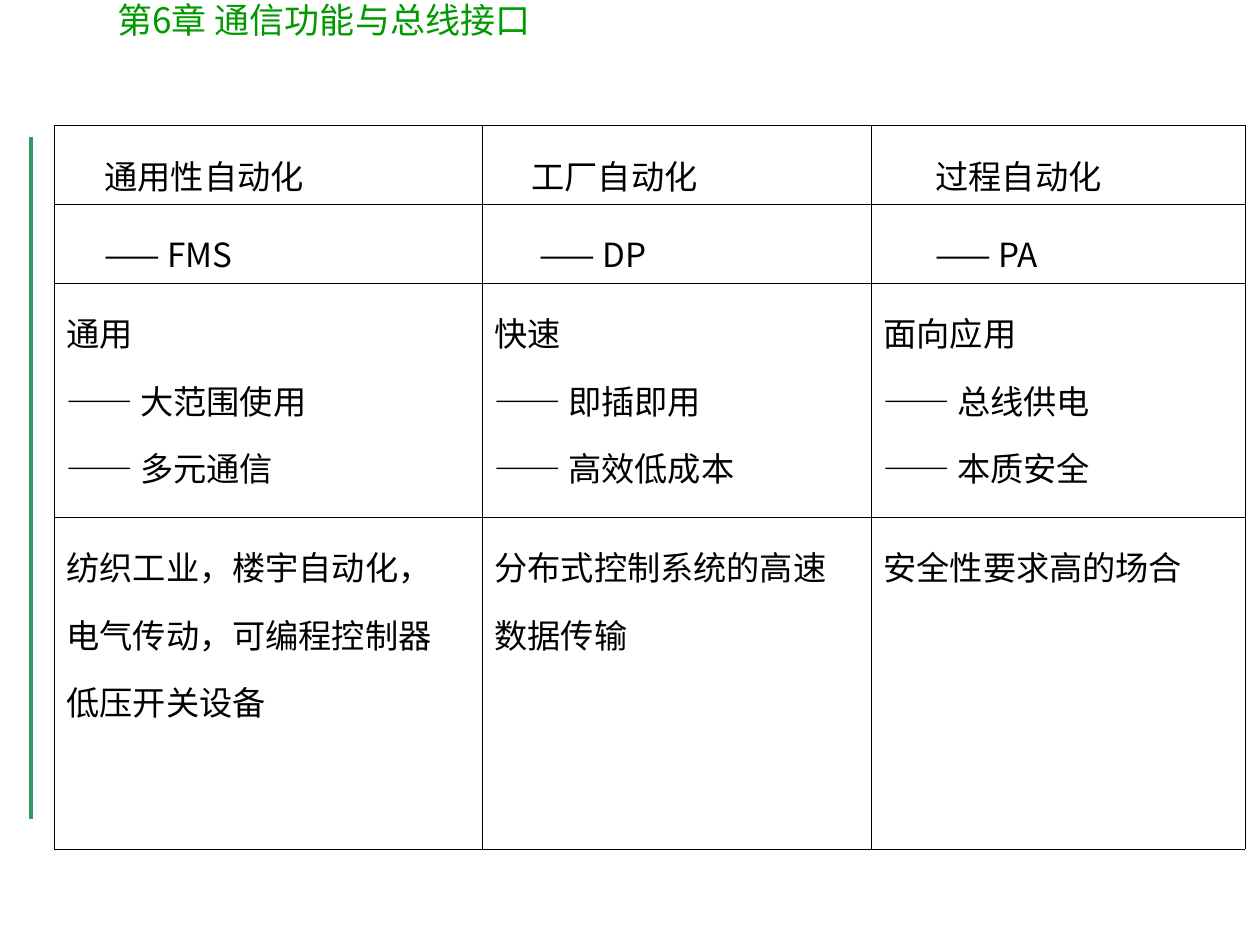
from lxml.etree import SubElement
from pptx import Presentation
from pptx.dml.color import RGBColor
from pptx.enum.shapes import MSO_CONNECTOR
from pptx.oxml import parse_xml
from pptx.oxml.ns import nsdecls, qn
from pptx.util import Pt

# Content: each cell is a list of paragraphs
TITLE = "第6章 通信功能与总线接口"
ROWS = [
    [["通用性自动化"], ["工厂自动化"], ["过程自动化"]],
    [["—— FMS"], ["—— DP"], ["—— PA"]],
    [["通用", "—— 大范围使用", "—— 多元通信"],
     ["快速", "—— 即插即用", "—— 高效低成本"],
     ["面向应用", "—— 总线供电", "—— 本质安全"]],
    [["纺织工业，楼宇自动化，", "电气传动，可编程控制器", "低压开关设备"],
     ["分布式控制系统的高速", "数据传输"],
     ["安全性要求高的场合"]],
]

# Layout in px, 126 to the inch
PX = 914400 // 126
SLIDE_SIZE = (1260, 945)
TITLE_BOX = (105, -8, 724, 56)
RULE_X, RULE_TOP, RULE_BOTTOM = 31, 137, 819
TABLE_LEFT, TABLE_TOP = 54, 125
COLUMN_WIDTHS = [428, 389, 374]
ROW_HEIGHTS = [79, 79, 234, 332]
HEADING_INDENTS = [[38, 37, 52], [38, 45, 52]]  # the two heading rows

FONT = "Noto Sans CJK SC"
BLACK = RGBColor(0x00, 0x00, 0x00)
TITLE_GREEN = RGBColor(0x00, 0x99, 0x00)
RULE_GREEN = RGBColor(0x33, 0x99, 0x66)


def px(*lengths):
    return [length * PX for length in lengths]


def format_runs(paragraph, size, color):
    for run in paragraph.runs:
        run.font.size = Pt(size)
        run.font.color.rgb = color
        run.font.name = FONT
        SubElement(run.font._element, qn("a:ea")).set("typeface", FONT)


def set_borders(cell):
    properties = cell._tc.get_or_add_tcPr()
    for position, side in enumerate(("lnL", "lnR", "lnT", "lnB")):
        border = parse_xml(
            f'<a:{side} {nsdecls("a")} w="{Pt(0.45)}"><a:solidFill>'
            f'<a:srgbClr val="{BLACK}"/></a:solidFill></a:{side}>')
        properties.insert(position, border)


def fill_cell(cell, lines, indent):
    cell.fill.background()
    set_borders(cell)
    cell.text_frame.text = "\n".join(lines)
    for paragraph in cell.text_frame.paragraphs:
        paragraph.line_spacing = 1.4
        if indent:
            paragraph._p.get_or_add_pPr().set("marL", str(indent * PX))
        format_runs(paragraph, 19, BLACK)


def main():
    presentation = Presentation()
    presentation.slide_width, presentation.slide_height = px(*SLIDE_SIZE)
    slide = presentation.slides.add_slide(presentation.slide_layouts[6])

    # Green rule on the left
    rule = slide.shapes.add_connector(
        MSO_CONNECTOR.STRAIGHT, *px(RULE_X, RULE_TOP, RULE_X, RULE_BOTTOM))
    rule.line.color.rgb = RULE_GREEN
    rule.line.width = Pt(2.25)
    SubElement(rule._element.spPr, qn("a:effectLst"))

    # Chapter title
    text_frame = slide.shapes.add_textbox(*px(*TITLE_BOX)).text_frame
    text_frame.word_wrap = True
    text_frame.text = TITLE
    format_runs(text_frame.paragraphs[0], 20, TITLE_GREEN)

    # Comparison table
    table = slide.shapes.add_table(
        len(ROWS), len(COLUMN_WIDTHS),
        *px(TABLE_LEFT, TABLE_TOP, sum(COLUMN_WIDTHS), sum(ROW_HEIGHTS))).table
    table.first_row = table.horz_banding = False
    for column, width in zip(table.columns, px(*COLUMN_WIDTHS)):
        column.width = width
    for row, height in zip(table.rows, px(*ROW_HEIGHTS)):
        row.height = height
    for row_index, row in enumerate(ROWS):
        is_heading = row_index < len(HEADING_INDENTS)
        for column_index, lines in enumerate(row):
            indent = HEADING_INDENTS[row_index][column_index] if is_heading else 0
            fill_cell(table.cell(row_index, column_index), lines, indent)

    presentation.save("out.pptx")


if __name__ == "__main__":
    main()
